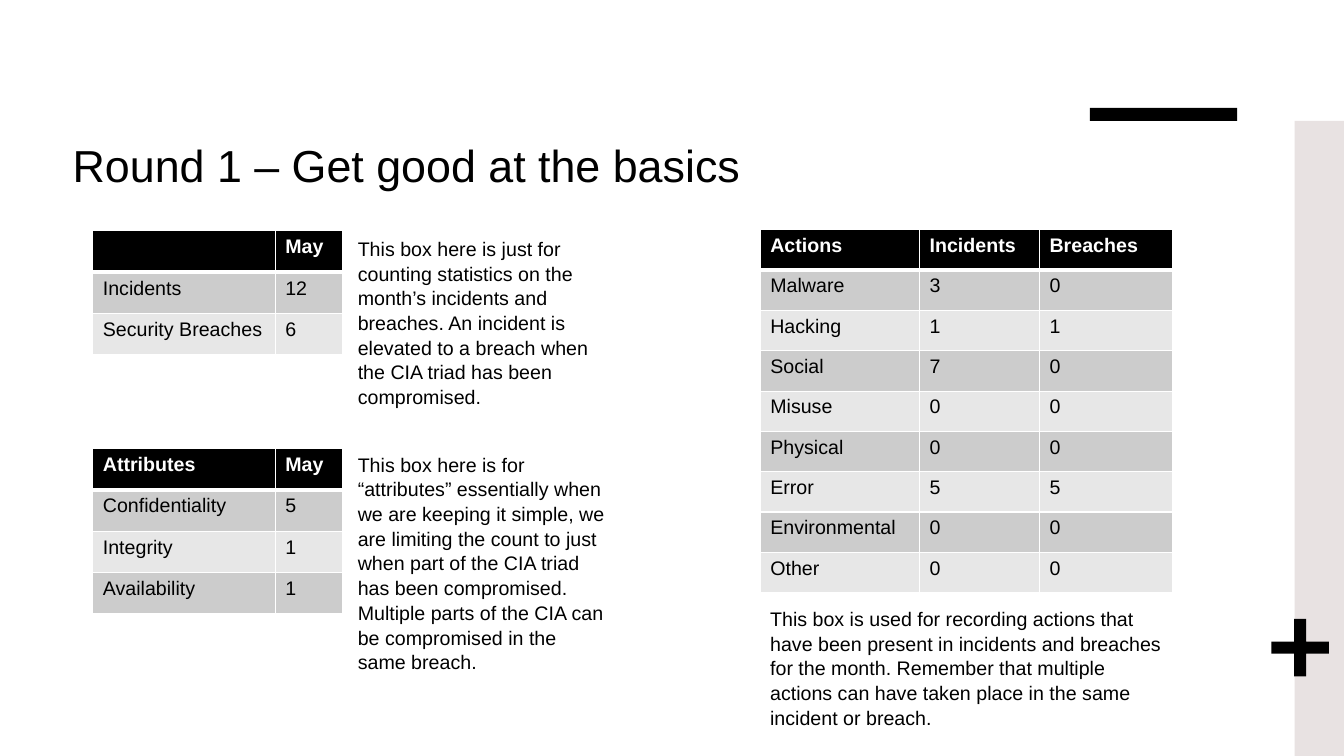
from dataclasses import dataclass

from lxml import etree
from pptx import Presentation
from pptx.dml.color import RGBColor
from pptx.enum.shapes import MSO_SHAPE as Shape
from pptx.enum.text import MSO_ANCHOR as Anchor, MSO_AUTO_SIZE as AutoSize, PP_ALIGN as Align
from pptx.oxml.ns import qn
from pptx.util import Inches, Pt


@dataclass(frozen=True)
class Theme:
    font: str = "Arial"
    ink: str = "000000"
    paper: str = "FFFFFF"
    side_band: str = "E8E2E2"
    odd_row: str = "CCCCCC"
    even_row: str = "E7E7E7"
    title_size: int = 32
    body_size: int = 14
    grid_width: int = 1
    header_rule: int = 3
    note_spacing: float = 1.05


THEME = Theme()

MONTH_COLUMNS = [1.81, 0.67]
ACTION_COLUMNS = [1.58, 1.19, 1.32]

MONTH_COUNTS = [("", "May"), ("Incidents", "12"), ("Security Breaches", "6")]
ATTRIBUTE_COUNTS = [
    ("Attributes", "May"),
    ("Confidentiality", "5"),
    ("Integrity", "1"),
    ("Availability", "1"),
]
ACTION_COUNTS = [
    ("Actions", "Incidents", "Breaches"),
    ("Malware", "3", "0"),
    ("Hacking", "1", "1"),
    ("Social", "7", "0"),
    ("Misuse", "0", "0"),
    ("Physical", "0", "0"),
    ("Error", "5", "5"),
    ("Environmental", "0", "0"),
    ("Other", "0", "0"),
]

COUNT_NOTE = (
    "This box here is just for counting statistics on the month’s incidents and breaches. "
    "An incident is elevated to a breach when the CIA triad has been compromised."
)
ATTRIBUTE_NOTE = (
    "This box here is for “attributes” essentially when we are keeping it simple, "
    "we are limiting the count to just when part of the CIA triad has been compromised. "
    "Multiple parts of the CIA can be compromised in the same breach."
)
ACTION_NOTE = (
    "This box is used for recording actions that have been present in incidents and "
    "breaches for the month. Remember that multiple actions can have taken place in "
    "the same incident or breach."
)


def write_text(frame, text, size=THEME.body_size, color=THEME.ink, bold=False, spacing=None):
    paragraph = frame.paragraphs[0]
    paragraph.alignment = Align.LEFT
    paragraph.line_spacing = spacing
    run = paragraph.add_run()
    run.text = text
    run.font.name = THEME.font
    run.font.size = Pt(size)
    run.font.bold = bold
    run.font.color.rgb = RGBColor.from_string(color)


def add_title(slide, text, left, top, width, height):
    title = slide.shapes.title
    title.left, title.top = Inches(left), Inches(top)
    title.width, title.height = Inches(width), Inches(height)
    frame = title.text_frame
    frame.auto_size = AutoSize.NONE
    frame.vertical_anchor = Anchor.TOP
    write_text(frame, text, size=THEME.title_size)


def add_ornament(slide, kind, color, left, top, width, height):
    ornament = slide.shapes.add_shape(
        kind, Inches(left), Inches(top), Inches(width), Inches(height)
    )
    ornament.shadow.inherit = False
    ornament.fill.solid()
    ornament.fill.fore_color.rgb = RGBColor.from_string(color)
    ornament.line.fill.background()
    return ornament


def add_note(slide, text, left, top, width, height):
    note = slide.shapes.add_textbox(Inches(left), Inches(top), Inches(width), Inches(height))
    frame = note.text_frame
    frame.word_wrap = True
    frame.auto_size = AutoSize.SHAPE_TO_FIT_TEXT
    write_text(frame, text, spacing=THEME.note_spacing)


def set_border(cell, side, width):
    properties = cell._tc.get_or_add_tcPr()
    border = etree.SubElement(properties, qn(f"a:ln{side}"), w=str(Pt(width)))
    fill = etree.SubElement(border, qn("a:solidFill"))
    etree.SubElement(fill, qn("a:srgbClr"), val=THEME.paper)


def format_cell(cell, text, row):
    is_header = row == 0
    rules = {"T": row == 1, "B": is_header}
    for side in "LRTB":
        set_border(cell, side, THEME.header_rule if rules.get(side) else THEME.grid_width)
    band = THEME.odd_row if row % 2 else THEME.even_row
    cell.fill.solid()
    cell.fill.fore_color.rgb = RGBColor.from_string(THEME.ink if is_header else band)
    if text:
        color = THEME.paper if is_header else THEME.ink
        write_text(cell.text_frame, text, color=color, bold=is_header)


def add_count_table(slide, records, columns, left, top, row_height):
    table = slide.shapes.add_table(
        len(records), len(columns), Inches(left), Inches(top),
        Inches(sum(columns)), Inches(row_height * len(records)),
    ).table
    for column, width in zip(table.columns, columns):
        column.width = Inches(width)
    for row, record in enumerate(records):
        table.rows[row].height = Inches(row_height)
        for column, text in enumerate(record):
            format_cell(table.cell(row, column), text, row)


def main():
    deck = Presentation()
    deck.slide_width, deck.slide_height = Inches(13.33), Inches(7.5)
    slide = deck.slides.add_slide(deck.slide_layouts.get_by_name("Title Only"))

    add_ornament(slide, Shape.RECTANGLE, THEME.ink, 10.81, 1.07, 1.46, 0.13)
    add_ornament(slide, Shape.RECTANGLE, THEME.side_band, 12.84, 1.2, 0.49, 6.3)
    plus = add_ornament(slide, Shape.CROSS, THEME.ink, 12.61, 6.14, 0.57, 0.57)
    plus.adjustments[0] = 0.395

    add_title(slide, "Round 1 – Get good at the basics", 0.62, 1.32, 10.82, 0.8)

    add_count_table(slide, MONTH_COUNTS, MONTH_COLUMNS, 0.92, 2.29, 0.41)
    add_count_table(slide, ATTRIBUTE_COUNTS, MONTH_COLUMNS, 0.92, 4.45, 0.41)
    add_count_table(slide, ACTION_COUNTS, ACTION_COLUMNS, 7.54, 2.28, 0.4)

    add_note(slide, COUNT_NOTE, 3.45, 2.29, 2.68, 1.75)
    add_note(slide, ATTRIBUTE_NOTE, 3.45, 4.43, 2.68, 2.22)
    add_note(slide, ACTION_NOTE, 7.54, 5.96, 4.17, 1.28)

    deck.save("out.pptx")


if __name__ == "__main__":
    main()
